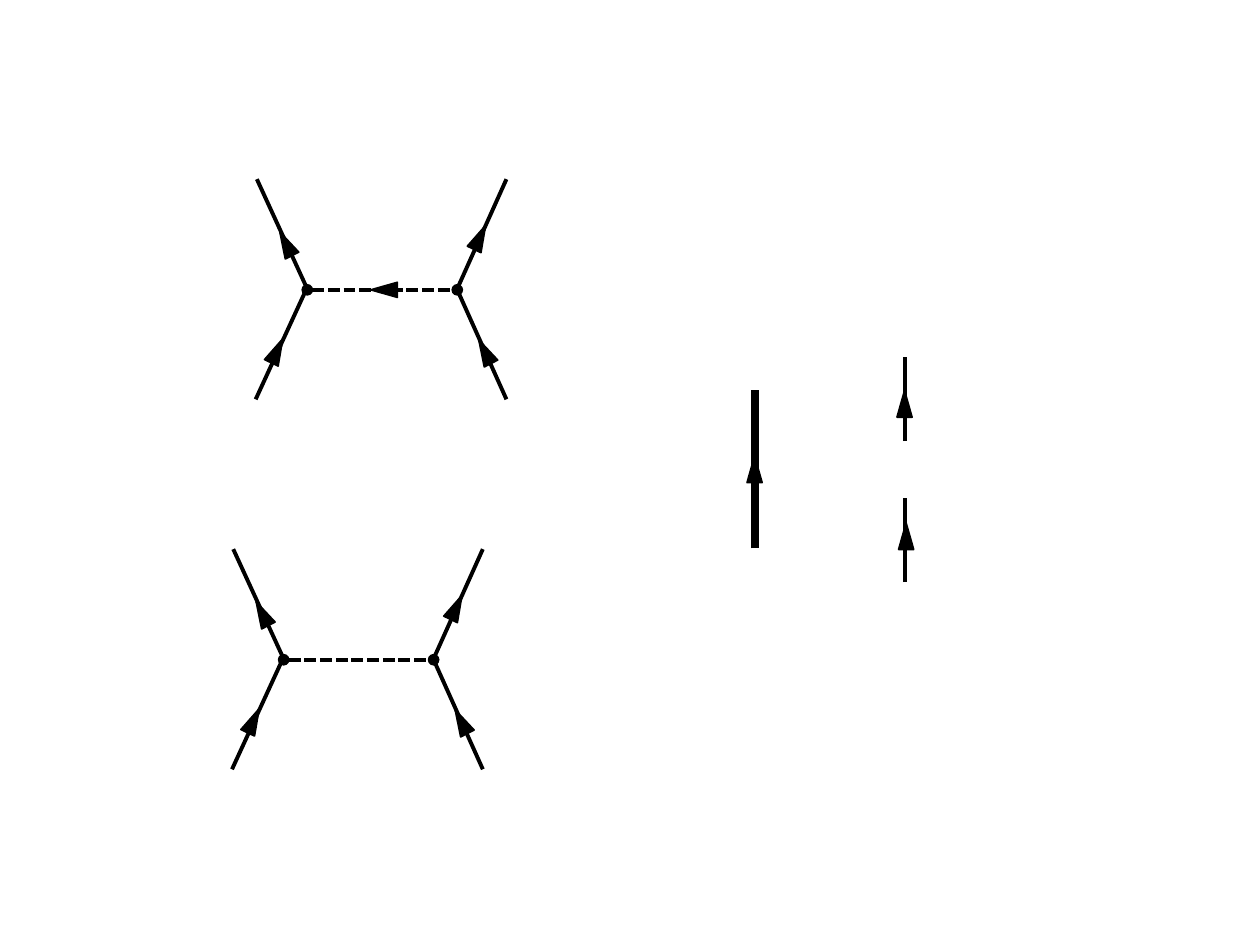
from pptx import Presentation
from pptx import util as u
from pptx.dml import color as c
from pptx.enum import dml, shapes
from pptx.oxml import ns, xmlchemy

Pt = u.Pt
LEGS = [
    ((0, -0.5), (-28.8, -63.2)),
    ((-29.5, 62.6), (-0.7, 0)),
    ((113.8, 62.6), (85.7, 0)),
    ((85.7, -0.6), (113.8, -63.2)),
]
LEG_ARROWS = [(-17.3, 34.9, 25.5), (98.6, -29.9, 25.5),
              (101.5, 35.4, 332.8), (-12.2, -26.3, 332.8)]


def rgb(value):
    return c.RGBColor.from_string(value)


class Diagram:
    ink = "000000"
    line_width = 2.25
    arrow_width = 8.6
    arrow_height = 15.1

    def __init__(self, slide):
        self.slide = slide

    def line(self, start, end, width=line_width, parent=None):
        target = parent or self.slide
        connector = target.shapes.add_connector(
            shapes.MSO_CONNECTOR.STRAIGHT, *map(Pt, (*start, *end)))
        connector.line.width = Pt(width)
        connector.line.color.rgb = rgb(self.ink)
        properties = connector._element.spPr
        properties.append(xmlchemy.OxmlElement("a:effectLst"))
        return connector

    def propagator(self, start, end, parent):
        connector = self.line(start, end, parent=parent)
        connector.line.dash_style = dml.MSO_LINE.SQUARE_DOT
        outline = connector._element.spPr.find(ns.qn("a:ln"))
        for tag in ("a:headEnd", "a:tailEnd"):
            dot = xmlchemy.OxmlElement(tag)
            dot.set("type", "oval")
            outline.append(dot)

    def arrow(self, x, y, rotation=0, parent=None):
        target = parent or self.slide
        shape = target.shapes.add_shape(
            shapes.MSO_SHAPE.ISOSCELES_TRIANGLE,
            Pt(x - self.arrow_width / 2), Pt(y - self.arrow_height / 2),
            Pt(self.arrow_width), Pt(self.arrow_height))
        shape.rotation = rotation
        shape.shadow.inherit = False
        shape.fill.solid()
        shape.fill.fore_color.rgb = rgb(self.ink)
        shape.line.color.rgb = rgb(self.ink)
        shape.line.width = Pt(1)

    def exchange(self, x, y, directed):
        group = self.slide.shapes.add_group_shape()
        self.propagator((x, y), (x + 85.7, y), group)
        for start, end in LEGS:
            self.line((x + start[0], y + start[1]),
                      (x + end[0], y + end[1]), parent=group)
        if directed:
            self.arrow(x + 43.9, y, 270, group)
        for dx, dy, rotation in LEG_ARROWS:
            self.arrow(x + dx, y + dy, rotation, group)


def main():
    presentation = Presentation()
    presentation.slide_width = Pt(720)
    presentation.slide_height = Pt(540)
    slide = presentation.slides.add_slide(presentation.slide_layouts[6])
    diagram = Diagram(slide)

    diagram.exchange(175.6, 165.6, directed=True)
    diagram.exchange(162.1, 377, directed=False)

    diagram.line((431.2, 313.4), (431.2, 222.8), width=4.5)
    diagram.arrow(431.2, 268.2)
    for bottom, top in ((252, 204.2), (332.6, 284.6)):
        diagram.line((517.1, bottom), (517.1, top))
    diagram.arrow(517.8, 306.4)
    diagram.arrow(516.9, 230.8)

    presentation.save("out.pptx")


if __name__ == "__main__":
    main()
